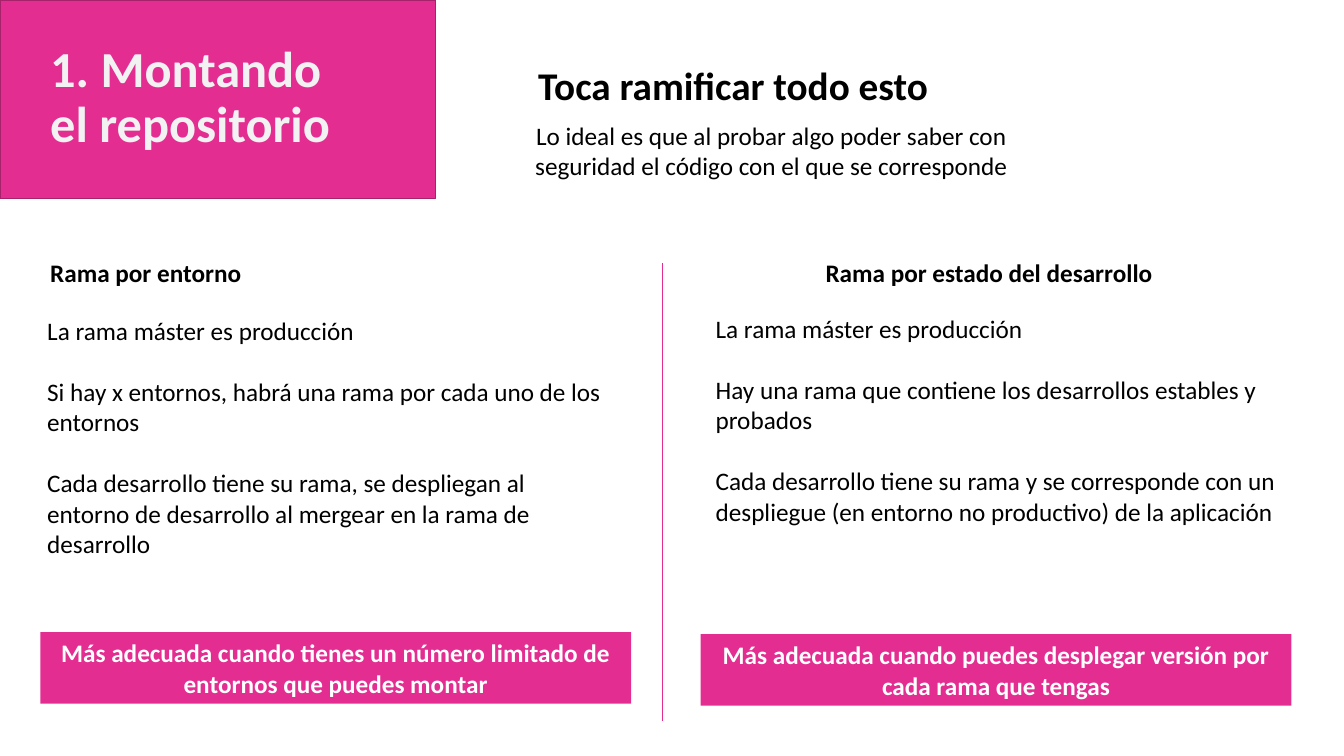
from lxml.etree import SubElement
from pptx import Presentation
from pptx.dml.color import RGBColor
from pptx.enum.shapes import MSO_CONNECTOR as Connector, MSO_SHAPE as Shape
from pptx.enum.text import MSO_ANCHOR as Anchor, PP_ALIGN as Align
from pptx.oxml.ns import qn
from pptx.util import Inches, Pt

PINK, DARK_PINK = "E32D91", "A8216B"
BLACK, WHITE, PALE = "000000", "FFFFFF", "F2F2F2"


def color(value):
    return RGBColor.from_string(value)


class SlideBuilder:
    font = "Calibri"
    body_size = 18

    def __init__(self, slide):
        self.slide = slide

    def fill_text(self, frame, paragraphs, size=body_size, ink=BLACK, bold=False,
                  align=Align.LEFT, anchor=Anchor.TOP, gap=0, leading=None):
        frame.word_wrap = True
        frame.vertical_anchor = anchor
        for index, words in enumerate(paragraphs):
            paragraph = frame.paragraphs[0] if index == 0 else frame.add_paragraph()
            paragraph.alignment = align
            paragraph.line_spacing = leading
            if index:
                paragraph.space_before = Pt(gap)
            run = paragraph.add_run()
            run.text = words
            run.font.name = self.font
            run.font.size = Pt(size)
            run.font.bold = bold
            run.font.color.rgb = color(ink)

    def text(self, box, *paragraphs, **style):
        textbox = self.slide.shapes.add_textbox(*map(Inches, box))
        self.fill_text(textbox.text_frame, paragraphs, **style)

    def block(self, box, words=None, outline=None):
        block = self.slide.shapes.add_shape(Shape.RECTANGLE, *map(Inches, box))
        block.shadow.inherit = False
        block.fill.solid()
        block.fill.fore_color.rgb = color(PINK)
        if outline:
            block.line.color.rgb = color(outline)
            block.line.width = Pt(1)
        else:
            block.line.fill.background()
        if words:
            self.fill_text(block.text_frame, [words], ink=WHITE, bold=True,
                           align=Align.CENTER, anchor=Anchor.MIDDLE)

    def divider(self, x, top, bottom):
        divider = self.slide.shapes.add_connector(
            Connector.STRAIGHT, Inches(x), Inches(top), Inches(x), Inches(bottom))
        divider.line.color.rgb = color(PINK)
        divider.line.width = Pt(0.5)
        SubElement(divider._element.spPr, qn("a:effectLst"))


def main():
    deck = Presentation()
    deck.slide_width, deck.slide_height = Inches(13.33), Inches(7.5)
    page = SlideBuilder(deck.slides.add_slide(deck.slide_layouts[6]))

    # Title block
    page.block((0, 0, 4.32, 1.97), outline=DARK_PINK)
    page.text((0.4, 0.37, 3.24, 1.22), "1. Montando el repositorio",
              size=36, ink=PALE, bold=True, anchor=Anchor.MIDDLE, leading=0.9)

    # Introduction
    page.text((5.24, 0.56, 4.46, 0.57), "Toca ramificar todo esto",
              size=28, bold=True)
    page.text((4.74, 1.14, 5.82, 0.71),
              "Lo ideal es que al probar algo poder saber con seguridad "
              "el código con el que se corresponde", align=Align.CENTER)

    # Two branching strategies: heading, points, advice
    strategies = [
        ((0.4, 2.5, 5.4, 0.4), "Rama por entorno",
         (0.37, 3.08, 5.77, 2.52),
         ["La rama máster es producción",
          "Si hay x entornos, habrá una rama por cada uno de los entornos",
          "Cada desarrollo tiene su rama, se despliegan al entorno de "
          "desarrollo al mergear en la rama de desarrollo"],
         (0.4, 6.27, 5.86, 0.71),
         "Más adecuada cuando tienes un número limitado de entornos "
         "que puedes montar"),
        ((8.09, 2.5, 3.7, 0.4), "Rama por estado del desarrollo",
         (7, 3.06, 5.77, 2.22),
         ["La rama máster es producción",
          "Hay una rama que contiene los desarrollos estables y probados",
          "Cada desarrollo tiene su rama y se corresponde con un despliegue "
          "(en entorno no productivo) de la aplicación"],
         (6.95, 6.29, 5.86, 0.71),
         "Más adecuada cuando puedes desplegar versión por cada rama "
         "que tengas"),
    ]
    for heading_box, heading, points_box, points, advice_box, advice in strategies:
        page.text(heading_box, heading, bold=True)
        page.text(points_box, *points, gap=22)
        page.block(advice_box, advice)

    # Line between the strategies
    page.divider(6.57, 2.61, 7.15)

    deck.save("out.pptx")


if __name__ == "__main__":
    main()
